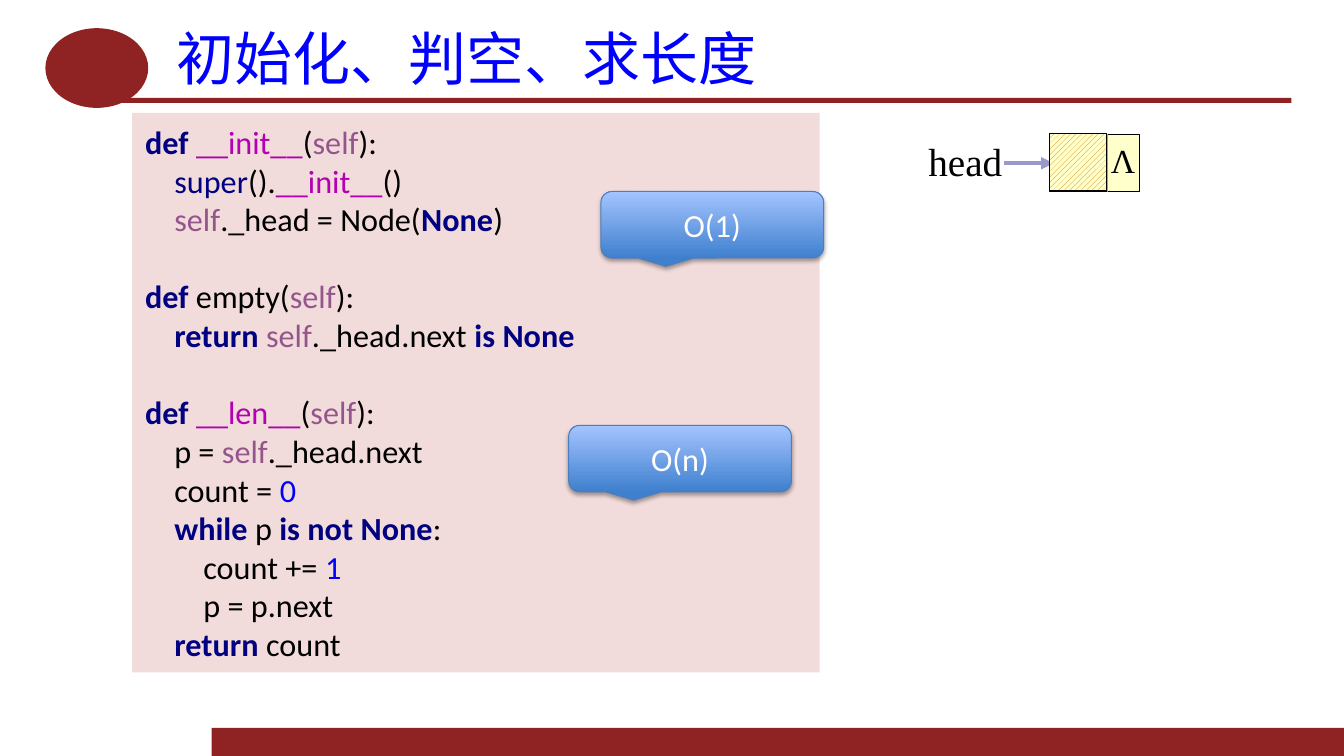
from dataclasses import dataclass
from itertools import groupby

from lxml.etree import SubElement
from pptx import Presentation
from pptx.dml.color import RGBColor
from pptx.enum.dml import MSO_PATTERN
from pptx.enum.shapes import MSO_CONNECTOR, MSO_SHAPE as Geometry
from pptx.enum.text import MSO_ANCHOR as Anchor, PP_ALIGN as Align
from pptx.oxml.ns import qn
from pptx.shapes.autoshape import Shape
from pptx.shapes.connector import Connector
from pptx.text.text import Font
from pptx.util import Inches, Pt

COLORS = {
    "band": "8F2222", "title": "0000FF", "panel": "F2DCDB",
    "text": "000000", "keyword": "000080", "builtin": "000080",
    "magic": "B200B2", "self": "94558D", "number": "0000FF",
    "node": "FFFFCC", "hatch": "D07E06", "link": "9999CC",
    "callout_dark": "3F80CE", "callout_light": "A4C4FF",
    "callout_line": "4B7EBC", "callout_text": "FFFFFF",
}
CODE_SIZE = 23
CODE_BLOCKS = [
    """def __init__(self):
    super().__init__()
    self._head = Node(None)""",
    """def empty(self):
    return self._head.next is None""",
    """def __len__(self):
    p = self._head.next
    count = 0
    while p is not None:
        count += 1
        p = p.next
    return count""",
]
WORD_STYLES = {
    **dict.fromkeys(["def", "return", "while", "is", "not", "None"], "keyword"),
    **dict.fromkeys(["__init__", "__len__"], "magic"),
    "super": "builtin", "self": "self", "0": "number", "1": "number",
}


@dataclass
class Box:
    left: float
    top: float
    width: float
    height: float

    def lengths(self) -> list[Inches]:
        return [Inches(v) for v in (self.left, self.top, self.width, self.height)]


@dataclass
class Label:
    text: str
    box: Box
    size: float


@dataclass
class Callout:
    text: str
    left: float
    top: float


BANDS = [
    (Geometry.RECTANGLE, Box(2.1, 7.22, 11.23, 0.28)),
    (Geometry.RECTANGLE, Box(1.18, 0.97, 11.63, 0.05)),
    (Geometry.OVAL, Box(0.45, 0.28, 1.02, 0.79)),
]
HEAD_LABEL = Label("head", Box(9.11, 1.31, 0.94, 0.57), 28)
NULL_LABEL = Label("Λ", Box(10.92, 1.34, 0.45, 0.5), 24)
CALLOUTS = [Callout("O(1)", 5.96, 1.9), Callout("O(n)", 5.64, 4.22)]

presentation = Presentation()
presentation.slide_width, presentation.slide_height = Inches(13.33), Inches(7.5)
slide = presentation.slides.add_slide(presentation.slide_layouts[6])


def rgb(name: str) -> RGBColor:
    return RGBColor.from_string(COLORS[name])


def style_font(font: Font, name: str, size: float, color: str) -> None:
    font.name, font.size = name, Pt(size)
    font.color.rgb = rgb(color)


def pad_and_center(shape: Shape) -> None:
    """Apply the shared insets, wrapping and middle anchor."""
    frame = shape.text_frame
    frame.margin_left = frame.margin_right = Inches(0.13)
    frame.margin_top = frame.margin_bottom = Inches(0.06)
    frame.word_wrap = True
    frame.vertical_anchor = Anchor.MIDDLE


def add_filled(geometry: Geometry, box: Box, fill: str, line: str = "") -> Shape:
    shape = slide.shapes.add_shape(geometry, *box.lengths())
    shape.shadow.inherit = False
    shape.fill.solid()
    shape.fill.fore_color.rgb = rgb(fill)
    if line:
        shape.line.color.rgb = rgb(line)
        shape.line.width = Pt(0.75)
    else:
        shape.line.fill.background()
    return shape


def add_title(text: str) -> None:
    shape = slide.shapes.add_textbox(*Box(1.62, 0.21, 11.19, 0.71).lengths())
    pad_and_center(shape)
    shape.text_frame.text = text
    paragraph = shape.text_frame.paragraphs[0]
    paragraph.alignment = Align.JUSTIFY
    run = paragraph.runs[0]
    style_font(run.font, "Noto Sans CJK SC", 41.4, "title")
    SubElement(run.font._element, qn("a:ea"), typeface="Noto Sans CJK SC")


def add_code(box: Box) -> None:
    """Draw the code panel, colouring each word by its role."""
    shape = add_filled(Geometry.RECTANGLE, box, "panel")
    pad_and_center(shape)
    frame = shape.text_frame
    frame.text = "\n".join(CODE_BLOCKS)
    paragraphs = iter(frame.paragraphs)
    for block_number, block in enumerate(CODE_BLOCKS):
        for line_number, line in enumerate(block.split("\n")):
            paragraph = next(paragraphs)
            paragraph.alignment = Align.LEFT
            if block_number and not line_number:
                paragraph.space_before = Pt(27.6)
            paragraph.text = ""
            for _, letters in groupby(line, lambda c: c.isalnum() or c == "_"):
                run = paragraph.add_run()
                run.text = "".join(letters)
                style = WORD_STYLES.get(run.text, "text")
                style_font(run.font, "Calibri", CODE_SIZE, style)
                run.font.bold = style == "keyword"


def add_label(label: Label) -> None:
    frame = slide.shapes.add_textbox(*label.box.lengths()).text_frame
    frame.word_wrap = False
    frame.text = label.text
    style_font(frame.paragraphs[0].runs[0].font, "Times New Roman", label.size, "text")


def add_link(start: tuple[float, float], end: tuple[float, float], width: float) -> Connector:
    points = [Inches(v) for v in (*start, *end)]
    connector = slide.shapes.add_connector(MSO_CONNECTOR.STRAIGHT, *points)
    connector.line.color.rgb = rgb("link")
    connector.line.width = Pt(width)
    SubElement(connector._element.spPr, qn("a:effectLst"))
    return connector


def add_head_node() -> None:
    add_label(HEAD_LABEL)
    arrow = add_link((9.96, 1.62), (10.45, 1.62), 3)
    SubElement(arrow.line._get_or_add_ln(), qn("a:tailEnd"), type="triangle")
    add_filled(Geometry.RECTANGLE, Box(10.41, 1.33, 0.89, 0.57), "node", "text")
    add_link((10.98, 1.33), (10.98, 1.9), 0.75)
    data = add_filled(Geometry.RECTANGLE, Box(10.41, 1.32, 0.57, 0.57), "node", "text")
    data.fill.patterned()
    data.fill.pattern = MSO_PATTERN.WIDE_UPWARD_DIAGONAL
    data.fill.fore_color.rgb = rgb("hatch")
    data.fill.back_color.rgb = rgb("node")
    add_label(NULL_LABEL)


def add_callout(callout: Callout) -> None:
    box = Box(callout.left, callout.top, 2.21, 0.66)
    shape = add_filled(Geometry.ROUNDED_RECTANGULAR_CALLOUT, box, "callout_dark", "callout_line")
    shape.fill.gradient()
    shape.fill.gradient_angle = 90
    for stop, color in zip(shape.fill.gradient_stops, ("callout_dark", "callout_light")):
        stop.color.rgb = rgb(color)
    effects = shape._element.spPr.find(qn("a:effectLst"))
    shadow = SubElement(effects, qn("a:outerShdw"), blurRad=str(Pt(3.1)),
                        dist=str(Pt(1.8)), dir="5400000", rotWithShape="0")
    shade = SubElement(shadow, qn("a:srgbClr"), val=COLORS["text"])
    SubElement(shade, qn("a:alpha"), val="35000")
    pad_and_center(shape)
    shape.text_frame.text = callout.text
    paragraph = shape.text_frame.paragraphs[0]
    paragraph.alignment = Align.CENTER
    style_font(paragraph.runs[0].font, "Calibri", CODE_SIZE, "callout_text")


for geometry, band in BANDS:
    add_filled(geometry, band, "band")
add_title("初始化、判空、求长度")
add_code(Box(1.31, 1.12, 6.82, 5.55))
add_head_node()
for callout in CALLOUTS:
    add_callout(callout)
presentation.save("out.pptx")
